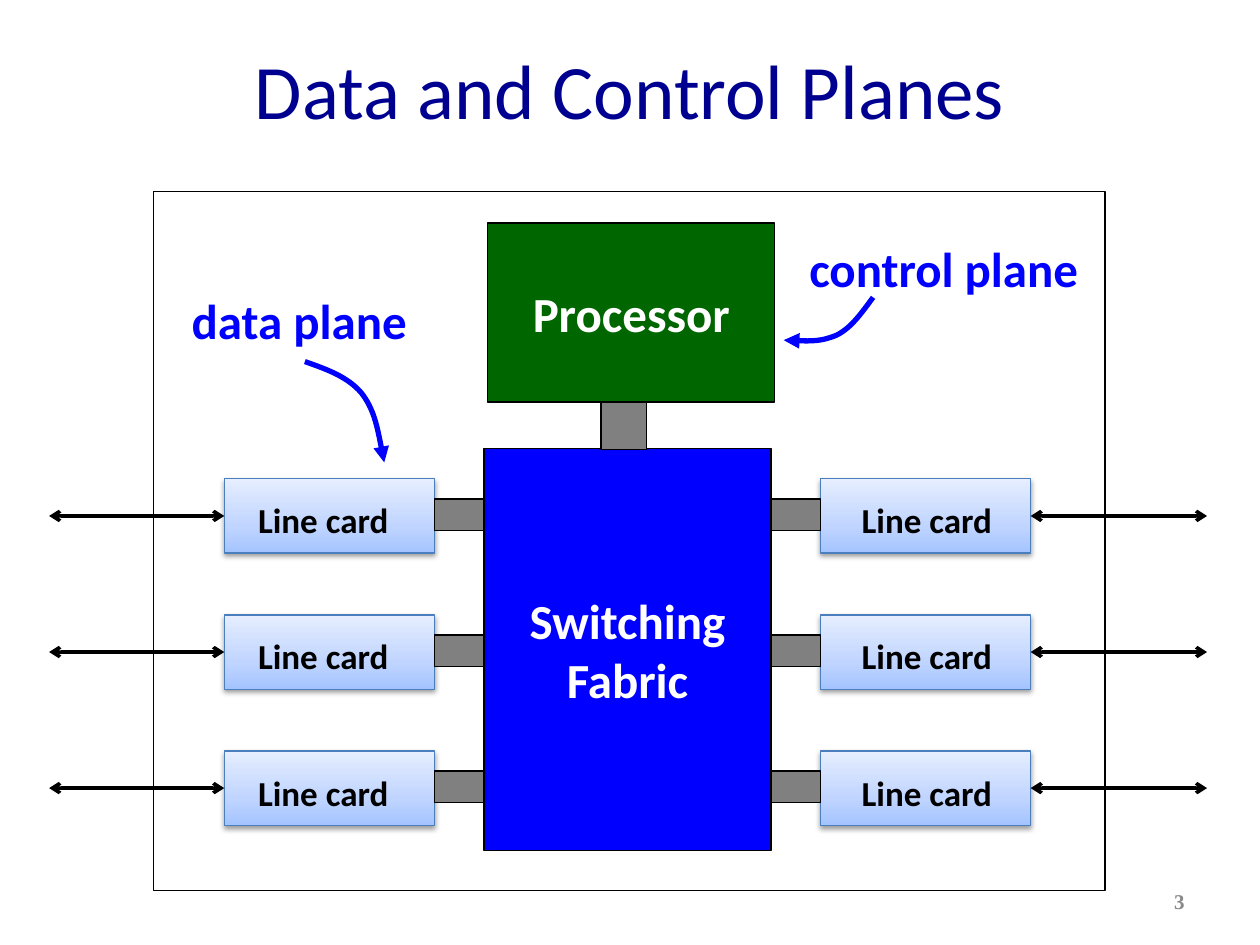
from copy import deepcopy
from dataclasses import dataclass

from lxml import etree
from pptx import Presentation
from pptx.dml.color import RGBColor
from pptx.enum.shapes import MSO_CONNECTOR, MSO_SHAPE
from pptx.enum.text import MSO_ANCHOR, MSO_AUTO_SIZE, PP_ALIGN
from pptx.oxml.ns import qn
from pptx.util import Inches, Pt

RECTANGLE, STRAIGHT = MSO_SHAPE.RECTANGLE, MSO_CONNECTOR.STRAIGHT
LEFT, CENTER, RIGHT = PP_ALIGN.LEFT, PP_ALIGN.CENTER, PP_ALIGN.RIGHT
MIDDLE, TOP = MSO_ANCHOR.MIDDLE, MSO_ANCHOR.TOP
FIT_TEXT = MSO_AUTO_SIZE.SHAPE_TO_FIT_TEXT
LEFT_SIDE, RIGHT_SIDE = 1, 3
COLUMNS, ROWS = 10, 7.5


@dataclass(frozen=True)
class Theme:
    font: str = "Calibri"
    number_font: str = "Times New Roman"
    title: str = "000090"
    number: str = "898989"
    ink: str = "000000"
    light: str = "FFFFFF"
    plane: str = "0000FF"
    processor: str = "006600"
    link: str = "808080"
    card_line: str = "4B7EBC"
    card_stops: tuple = ((0, "A4C4FF"), (0.35, "BFD4FF"), (1, "E6EEFF"))
    title_size: float = 44
    block_size: float = 28
    card_size: float = 20
    number_size: float = 12
    thin: float = 0.75
    port: float = 2
    pointer: float = 3


class Diagram:
    """Places elements on a page measured in grid columns and rows."""

    def __init__(self, deck, theme):
        self.theme = theme
        self.page = deck.slides.add_slide(deck.slide_layouts[6])
        self.column = deck.slide_width / COLUMNS
        self.row = deck.slide_height / ROWS

    def point(self, x, y):
        return round(x * self.column), round(y * self.row)

    def area(self, x, y, width, height):
        return *self.point(x, y), *self.point(width, height)

    def set_text(self, box, text, size, color, align=CENTER, anchor=MIDDLE,
                 bold=True, font=None, wrap=False):
        frame = box.text_frame
        frame.word_wrap = wrap
        frame.vertical_anchor = anchor
        frame.text = text
        for para in frame.paragraphs:
            para.alignment = align
            para.font.name = font or self.theme.font
            para.font.size = Pt(size)
            para.font.bold = bold
            para.font.color.rgb = RGBColor.from_string(color)

    def label(self, place, text, size, color, grow=False, **style):
        box = self.page.shapes.add_textbox(*self.area(*place))
        self.set_text(box, text, size, color, **style)
        if grow:
            box.text_frame.auto_size = FIT_TEXT

    def stroke(self, shape, color, width, **ends):
        shape.line.color.rgb = RGBColor.from_string(color)
        shape.line.width = Pt(width)
        line = shape._element.spPr.find(qn("a:ln"))
        for end, kind in ends.items():
            etree.SubElement(line, qn(f"a:{end}"), type=kind)

    def block(self, place, fill=None, text="", line=None):
        box = self.page.shapes.add_shape(RECTANGLE, *self.area(*place))
        box.shadow.inherit = False
        if fill:
            box.fill.solid()
            box.fill.fore_color.rgb = RGBColor.from_string(fill)
        else:
            box.fill.background()
        self.stroke(box, line or self.theme.ink, self.theme.thin)
        if text:
            self.set_text(box, text, self.theme.block_size, self.theme.light)
        return box

    def card(self, place):
        box = self.block(place, line=self.theme.card_line)
        box.fill.gradient()
        box.fill.gradient_angle = 90
        stops = box._element.spPr.find(f".//{qn('a:gsLst')}")
        stops.append(deepcopy(stops[0]))
        for stop, (position, color) in zip(box.fill.gradient_stops, self.theme.card_stops):
            stop.position = position
            stop.color.rgb = RGBColor.from_string(color)
        effects = box._element.spPr.find(qn("a:effectLst"))
        shadow = etree.SubElement(effects, qn("a:outerShdw"), blurRad=str(Pt(3.1)),
                                  dist=str(Pt(1.6)), dir="5400000", rotWithShape="0")
        color = etree.SubElement(shadow, qn("a:srgbClr"), val=self.theme.ink)
        etree.SubElement(color, qn("a:alpha"), val="38000")
        return box

    def port(self, card, side, end_x):
        """Draws a two-way arrow from the middle of a card's side out to end_x."""
        y = card.top + card.height // 2
        end = round(end_x * self.column)
        arrow = self.page.shapes.add_connector(STRAIGHT, card.left, y, end, y)
        arrow.begin_connect(card, side)
        self.stroke(arrow, self.theme.ink, self.theme.port, headEnd="arrow", tailEnd="arrow")
        etree.SubElement(arrow._element.spPr, qn("a:effectLst"))

    def curve(self, *points):
        """Draws a curved pointer: a start, then three Bezier points a segment."""
        start, *others = [self.point(*spot) for spot in points]
        builder = self.page.shapes.build_freeform(*start)
        builder.add_line_segments(others, close=False)
        shape = builder.convert_to_shape()
        steps = shape._element.spPr.findall(f".//{qn('a:lnTo')}")
        outline = steps[0].getparent()
        for first in range(0, len(steps), 3):
            bend = etree.SubElement(outline, qn("a:cubicBezTo"))
            for step in steps[first:first + 3]:
                bend.append(step[0])
                outline.remove(step)
        shape.fill.background()
        shape.shadow.inherit = False
        self.stroke(shape, self.theme.plane, self.theme.pointer, tailEnd="triangle")


def main():
    deck = Presentation()
    deck.slide_width, deck.slide_height = Inches(10), Inches(7.5)
    theme = Theme()
    diagram = Diagram(deck, theme)

    diagram.label((0.5, 0.08, 9, 1.25), "Data and Control Planes", theme.title_size,
                  theme.title, bold=False, wrap=True)
    diagram.label((7.17, 6.95, 2.33, 0.4), "3", theme.number_size, theme.number,
                  align=RIGHT, font=theme.number_font, wrap=True)

    diagram.block((3.84, 3.56, 2.28, 3.19), theme.plane, "Switching\nFabric")
    diagram.block((3.87, 1.77, 2.28, 1.42), theme.processor, "Processor")
    diagram.block((4.77, 3.19, 0.36, 0.38), theme.link)

    # card left, link left, text left, port side, port end
    sides = ((1.78, 3.45, 1.95, LEFT_SIDE, 0.39),
             (6.51, 6.12, 6.74, RIGHT_SIDE, 9.58))
    for card_x, link_x, text_x, side, port_end in sides:
        for index in range(3):
            top = 3.8 + 1.08 * index
            card = diagram.card((card_x, top, 1.67, 0.59))
            diagram.block((link_x, top + 0.16, 0.39, 0.25), theme.link)
            diagram.label((text_x, top + 0.11, 1.24, 0.44), "Line card", theme.card_size,
                          theme.ink, grow=True, align=LEFT, anchor=TOP)
            diagram.port(card, side, port_end)

    diagram.block((1.22, 1.52, 7.55, 5.55))
    diagram.curve((2.42, 2.87), (2.59, 2.93), (2.76, 2.99), (2.87, 3.12),
                  (2.97, 3.25), (3.01, 3.46), (3.05, 3.67))
    diagram.curve((6.93, 2.36), (6.84, 2.48), (6.76, 2.6), (6.64, 2.66),
                  (6.52, 2.71), (6.37, 2.71), (6.22, 2.7))
    for place, name in (((1.41, 2.26, 1.93, 0.57), "data plane"),
                        ((6.31, 1.84, 2.36, 0.57), "control plane")):
        diagram.label(place, name, theme.block_size, theme.plane, grow=True, anchor=TOP)

    deck.save("out.pptx")


if __name__ == "__main__":
    main()
